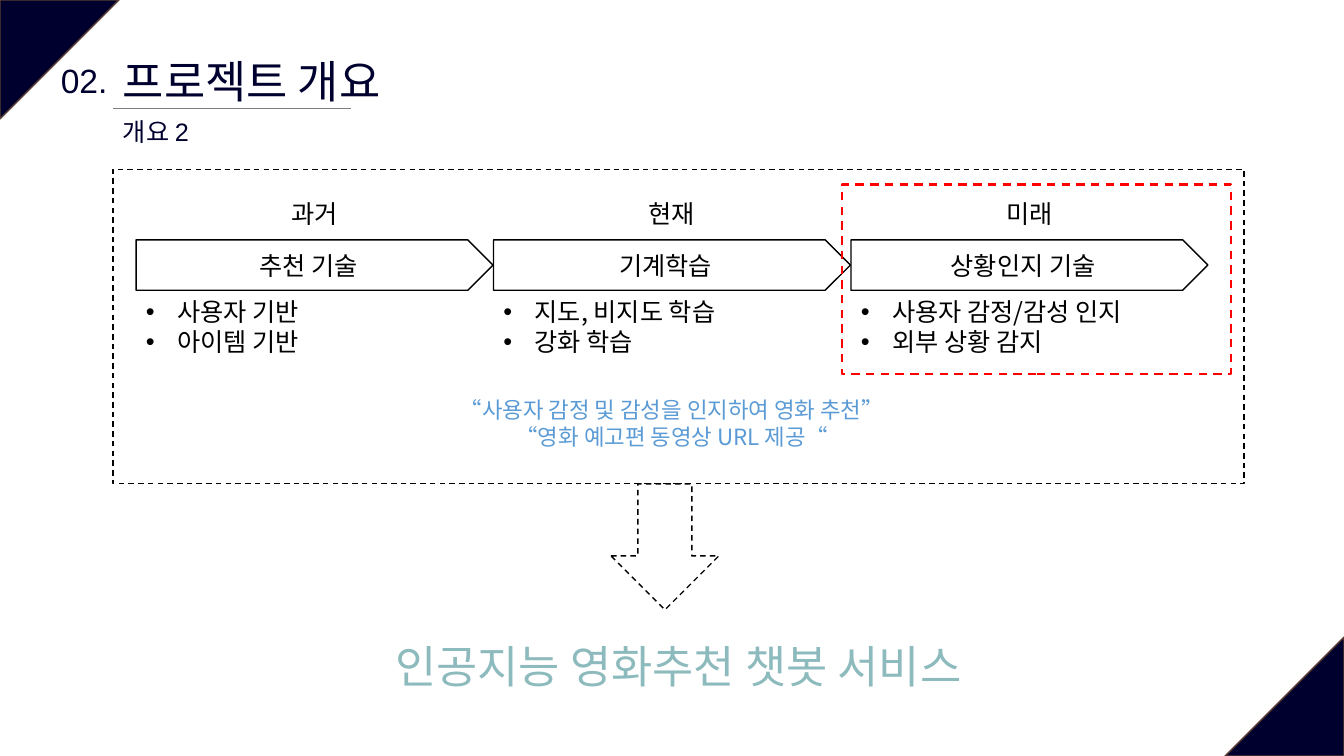
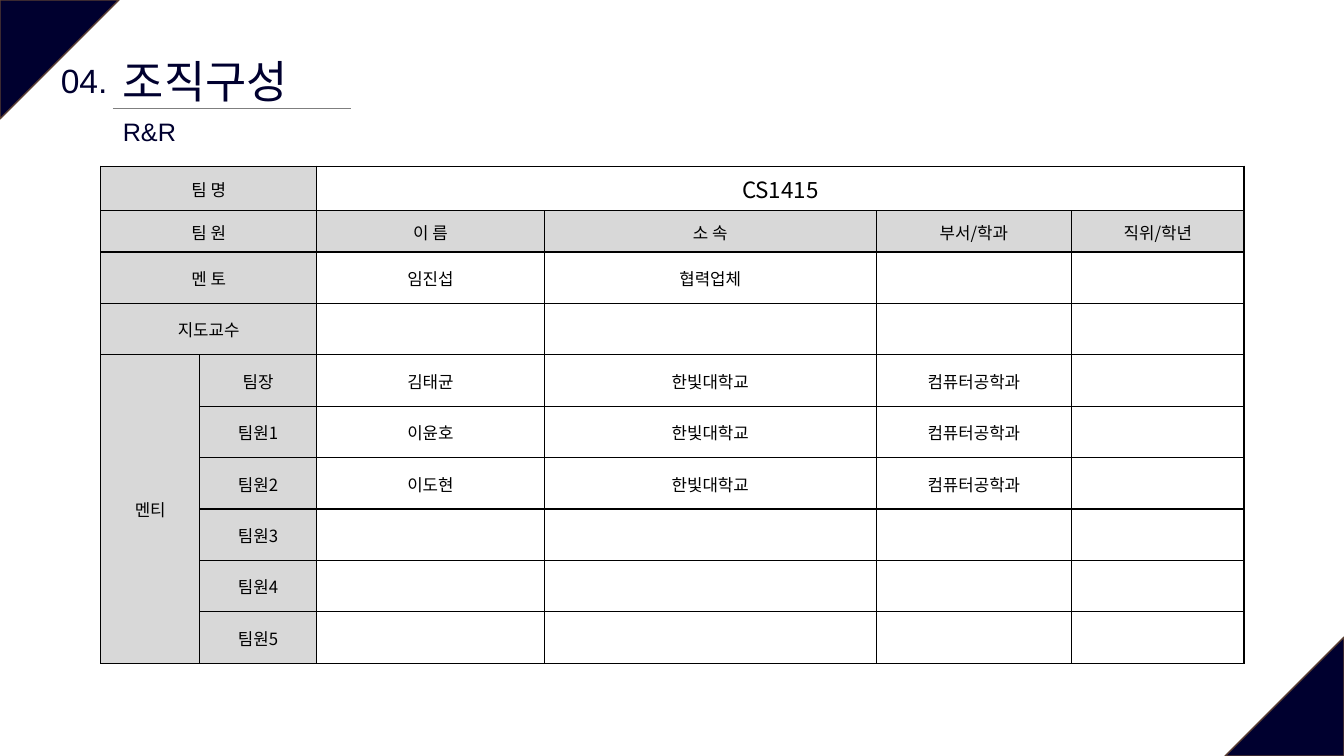
import dataclasses
import typing

import lxml.etree
import pptx
import pptx.dml.color
import pptx.enum.dml
import pptx.enum.shapes
import pptx.enum.text
import pptx.oxml.ns
import pptx.util

Inches = pptx.util.Inches
RGBColor = pptx.dml.color.RGBColor
Preset = pptx.enum.shapes.MSO_SHAPE
Align = pptx.enum.text.PP_ALIGN
Anchor = pptx.enum.text.MSO_ANCHOR
qn = pptx.oxml.ns.qn


@dataclasses.dataclass(frozen=True)
class Theme:
    navy: str = "00002F"
    brown: str = "5B3F33"
    rule: str = "7F7F7F"
    black: str = "000000"
    red: str = "FF0000"
    blue: str = "5B9BD5"
    teal: str = "8DBABD"
    grey: str = "D8D8D8"
    latin: str = "Arial"
    korean: str = "Noto Sans CJK KR"
    headline: int = 32
    number: int = 24
    body: int = 18
    quote: int = 16
    cell: int = 12


THEME = Theme()


class Box(typing.NamedTuple):
    left: float
    top: float
    width: float
    height: float

    def lengths(self) -> list[pptx.util.Length]:
        return [Inches(value) for value in self]


@dataclasses.dataclass(frozen=True)
class TextStyle:
    size: int
    color: str = THEME.black
    font: str = THEME.korean
    align: Align = Align.CENTER
    spacing: float | None = None
    bullet: bool = False


@dataclasses.dataclass(frozen=True)
class Outline:
    color: str = THEME.black
    width: float = 1
    dashed: bool = False


@dataclasses.dataclass(frozen=True)
class Heading:
    number: str
    title: str
    subtitle: str


@dataclasses.dataclass(frozen=True)
class Phase:
    period: str
    technology: str
    points: tuple[str, ...]


TITLE = TextStyle(THEME.headline, THEME.navy, THEME.latin, Align.LEFT)
NUMBER = TextStyle(THEME.number, THEME.navy, THEME.latin)
SUBTITLE = TextStyle(THEME.body, THEME.navy, THEME.latin, Align.LEFT)
BODY = TextStyle(THEME.body)
POINTS = TextStyle(THEME.body, align=Align.LEFT, bullet=True)
QUOTE = TextStyle(THEME.quote, THEME.blue)
SERVICE = TextStyle(THEME.headline, THEME.teal, THEME.latin, spacing=1.5)
CELL = TextStyle(THEME.cell)
TEAM_NAME = TextStyle(THEME.quote)

PHASES = (
    Phase("과거", "추천 기술", ("사용자 기반", "아이템 기반")),
    Phase("현재", "기계학습", ("지도, 비지도 학습", "강화 학습")),
    Phase("미래", "상황인지 기술", ("사용자 감정/감성 인지", "외부 상황 감지")),
)
SCHOOL = ("한빛대학교", "컴퓨터공학과")
TEAM_ROWS = (
    ("팀 명", "", "CS1415"),
    ("팀 원", "", "이 름", "소 속", "부서/학과", "직위/학년"),
    ("멘 토", "", "임진섭", "협력업체"),
    ("지도교수",),
    ("멘티", "팀장", "김태균", *SCHOOL),
    ("", "팀원1", "이윤호", *SCHOOL),
    ("", "팀원2", "이도현", *SCHOOL),
    *(("", f"팀원{member}") for member in range(3, 6)),
)
COLUMN_WIDTHS = (0.98, 1.16, 2.26, 3.29, 1.94, 1.71)
ROW_HEIGHTS = (0.44, 0.41) + (0.51,) * 8
LABEL_ROW = 1
FIRST_MENTEE = 4


def assign(target: typing.Any, formats: dict[str, typing.Any]) -> None:
    for attribute, value in formats.items():
        setattr(target, attribute, value)


def add_bullet(paragraph: typing.Any, color: str) -> None:
    properties = paragraph._p.get_or_add_pPr()
    for attribute, value in {"marL": Inches(0.31), "indent": Inches(-0.31)}.items():
        properties.set(attribute, str(value))
    tint = lxml.etree.SubElement(properties, qn("a:buClr"))
    lxml.etree.SubElement(tint, qn("a:srgbClr"), val=color)
    lxml.etree.SubElement(properties, qn("a:buFont"), typeface=THEME.latin)
    lxml.etree.SubElement(properties, qn("a:buChar"), char="•")


def write(frame: typing.Any, lines: typing.Iterable[str], style: TextStyle) -> None:
    for index, line in enumerate(lines):
        paragraph = frame.add_paragraph() if index else frame.paragraphs[0]
        assign(paragraph, {"alignment": style.align, "line_spacing": style.spacing})
        if style.bullet:
            add_bullet(paragraph, style.color)
        run = paragraph.add_run()
        run.text = line
        assign(run.font, {"size": pptx.util.Pt(style.size), "name": style.font})
        run.font.color.rgb = RGBColor.from_string(style.color)
        lxml.etree.SubElement(
            run._r.get_or_add_rPr(), qn("a:ea"), typeface=THEME.korean
        )


def add_text(slide: typing.Any, box: Box, style: TextStyle, *lines: str) -> None:
    frame = slide.shapes.add_textbox(*box.lengths()).text_frame
    assign(frame, {
        "word_wrap": True,
        "auto_size": pptx.enum.text.MSO_AUTO_SIZE.SHAPE_TO_FIT_TEXT,
    })
    write(frame, lines, style)


def draw_outline(line: typing.Any, outline: Outline) -> None:
    line.color.rgb = RGBColor.from_string(outline.color)
    line.width = pptx.util.Pt(outline.width)
    if outline.dashed:
        line.dash_style = pptx.enum.dml.MSO_LINE.DASH


def add_figure(
    slide: typing.Any,
    preset: Preset,
    box: Box,
    outline: Outline,
    fill: str | None = None,
) -> typing.Any:
    figure = slide.shapes.add_shape(preset, *box.lengths())
    figure.shadow.inherit = False
    if fill:
        figure.fill.solid()
        figure.fill.fore_color.rgb = RGBColor.from_string(fill)
    else:
        figure.fill.background()
    draw_outline(figure.line, outline)
    return figure


def move_corners_to_layout(slide: typing.Any, layout: typing.Any) -> None:
    size = 1.18
    corners = ((0, 0, 90), (13.33 - size, 7.5 - size, 270))
    for index, (left, top, rotation) in enumerate(corners):
        corner = add_figure(
            slide, Preset.ISOSCELES_TRIANGLE, Box(left, top, size, size),
            Outline(THEME.brown), THEME.navy,
        )
        corner.adjustments[0] = 0
        corner.rotation = rotation
        corner.element.nvSpPr.cNvPr.set("id", str(100 + index))
        layout.shapes.element.append(corner.element)


def add_heading(slide: typing.Any, heading: Heading) -> None:
    rule = slide.shapes.add_connector(
        pptx.enum.shapes.MSO_CONNECTOR.STRAIGHT,
        Inches(1.12), Inches(1.08), Inches(3.48), Inches(1.08),
    )
    draw_outline(rule.line, Outline(THEME.rule, 0.75))
    lxml.etree.SubElement(rule.element.spPr, qn("a:effectLst"))
    add_text(slide, Box(1.12, 0.48, 5.54, 0.64), TITLE, heading.title)
    add_text(slide, Box(0.5, 0.55, 0.67, 0.5), NUMBER, heading.number)
    add_text(slide, Box(1.12, 1.1, 5.54, 0.42), SUBTITLE, heading.subtitle)


def add_phase(slide: typing.Any, phase: Phase, left: float) -> None:
    width = 3.54
    step = add_figure(slide, Preset.PENTAGON, Box(left, 2.38, width, 0.5), Outline())
    step.text_frame.vertical_anchor = Anchor.MIDDLE
    write(step.text_frame, [phase.technology], BODY)
    add_text(slide, Box(left, 2.89, width, 0.71), POINTS, *phase.points)
    add_text(slide, Box(left, 1.92, width, 0.4), BODY, phase.period)


def build_overview(slide: typing.Any) -> None:
    add_heading(slide, Heading("02.", "프로젝트 개요", "개요 2"))
    for index, phase in enumerate(PHASES):
        add_phase(slide, phase, 1.35 + 3.545 * index)
    add_text(
        slide, Box(1.12, 6.02, 11.22, 0.83), SERVICE, "인공지능 영화추천 챗봇 서비스"
    )
    dashed = Outline(dashed=True)
    add_figure(slide, Preset.DOWN_ARROW, Box(6.06, 4.8, 1.07, 1.25), dashed)
    add_figure(slide, Preset.RECTANGLE, Box(1.12, 1.68, 11.22, 3.12), dashed)
    add_text(
        slide, Box(1.35, 3.88, 10.63, 0.64), QUOTE,
        "“사용자 감정 및 감성을 인지하여 영화 추천”",
        "“영화 예고편 동영상 URL 제공“",
    )
    add_figure(
        slide, Preset.RECTANGLE, Box(8.35, 1.83, 3.86, 1.88),
        Outline(THEME.red, 1.5, True),
    )


def format_cell(cell: typing.Any, shaded: bool) -> None:
    assign(cell, {
        "margin_left": Inches(0.01),
        "margin_right": Inches(0.01),
        "margin_top": Inches(0.01),
        "margin_bottom": 0,
        "vertical_anchor": Anchor.MIDDLE,
    })
    properties = cell._tc.get_or_add_tcPr()
    for side in ("lnL", "lnR", "lnT", "lnB"):
        border = lxml.etree.SubElement(
            properties, qn(f"a:{side}"), w=str(pptx.util.Pt(1))
        )
        paint = lxml.etree.SubElement(border, qn("a:solidFill"))
        lxml.etree.SubElement(paint, qn("a:srgbClr"), val=THEME.black)
    if shaded:
        cell.fill.solid()
        cell.fill.fore_color.rgb = RGBColor.from_string(THEME.grey)
    else:
        cell.fill.background()


def build_team(slide: typing.Any) -> None:
    add_heading(slide, Heading("04.", "조직구성", "R&R"))
    box = Box(1, 1.65, sum(COLUMN_WIDTHS), sum(ROW_HEIGHTS))
    team = slide.shapes.add_table(
        len(ROW_HEIGHTS), len(COLUMN_WIDTHS), *box.lengths()
    ).table
    assign(team, {"first_row": False, "horz_banding": False})
    for column, width in zip(team.columns, COLUMN_WIDTHS):
        column.width = Inches(width)
    for row, height in zip(team.rows, ROW_HEIGHTS):
        row.height = Inches(height)
    for row in range(len(ROW_HEIGHTS)):
        for column in range(len(COLUMN_WIDTHS)):
            format_cell(team.cell(row, column), column < 2 or row == LABEL_ROW)
    for row in range(FIRST_MENTEE):
        team.cell(row, 0).merge(team.cell(row, 1))
    team.cell(0, 2).merge(team.cell(0, 5))
    team.cell(FIRST_MENTEE, 0).merge(team.cell(len(ROW_HEIGHTS) - 1, 0))
    for row, texts in enumerate(TEAM_ROWS):
        for column, text in enumerate(texts):
            if text:
                style = TEAM_NAME if (row, column) == (0, 2) else CELL
                write(team.cell(row, column).text_frame, [text], style)


def main() -> None:
    deck = pptx.Presentation()
    assign(deck, {"slide_width": Inches(13.33), "slide_height": Inches(7.5)})
    blank = deck.slide_layouts[6]
    overview, team = (deck.slides.add_slide(blank) for _ in range(2))
    move_corners_to_layout(overview, blank)
    build_overview(overview)
    build_team(team)
    deck.save("out.pptx")


if __name__ == "__main__":
    main()
